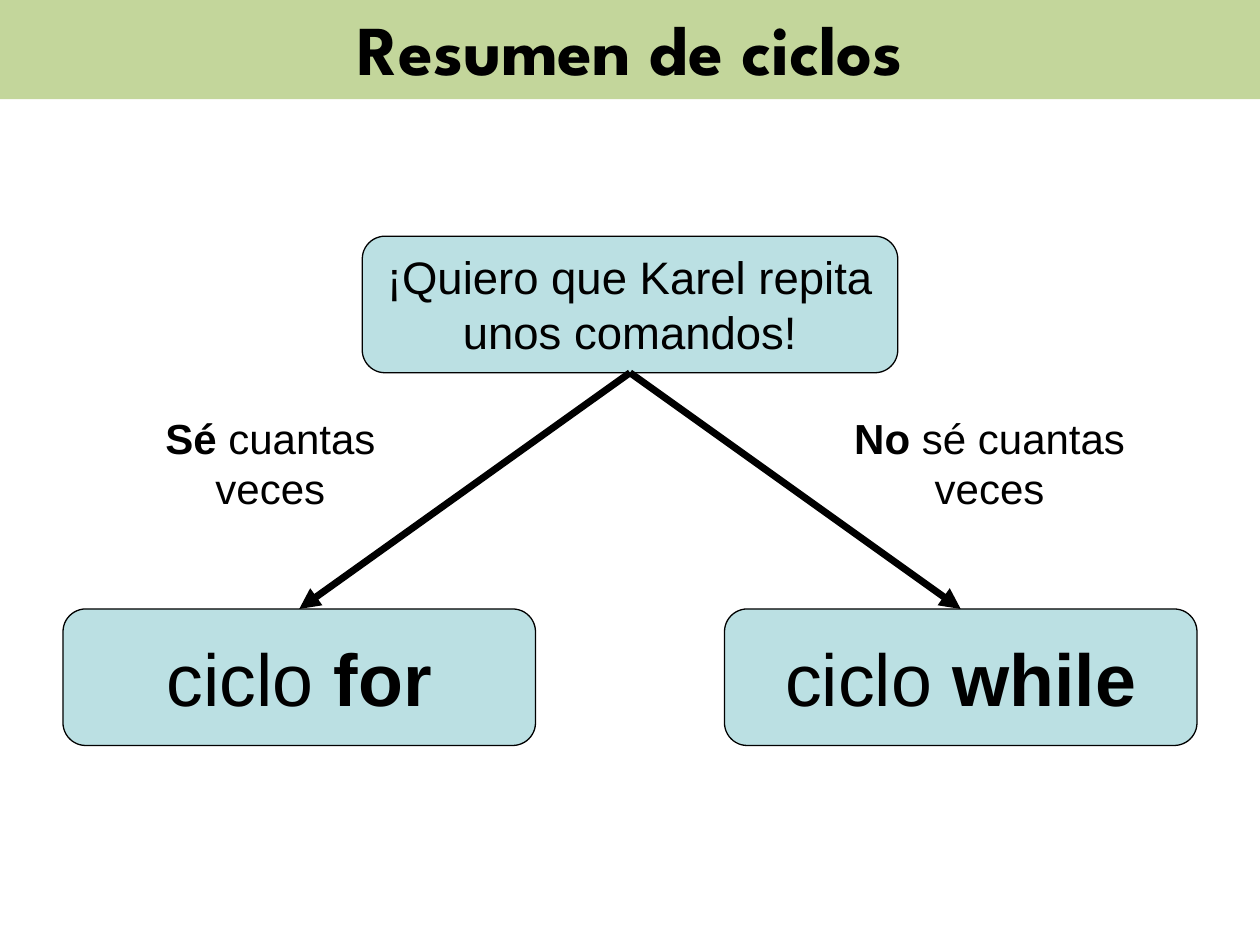
from dataclasses import dataclass

from lxml import etree
from pptx import Presentation
from pptx.dml.color import RGBColor
from pptx.enum.shapes import MSO_CONNECTOR, MSO_SHAPE
from pptx.enum.text import MSO_ANCHOR, MSO_AUTO_SIZE, PP_ALIGN
from pptx.oxml.ns import qn
from pptx.util import Pt

STRAIGHT = MSO_CONNECTOR.STRAIGHT
ROUNDED = MSO_SHAPE.ROUNDED_RECTANGLE
TOP, MIDDLE = MSO_ANCHOR.TOP, MSO_ANCHOR.MIDDLE
CENTER = PP_ALIGN.CENTER
GROW, FIXED = MSO_AUTO_SIZE.SHAPE_TO_FIT_TEXT, MSO_AUTO_SIZE.NONE
TITLE_ONLY = 5
TOP_SITE, BOTTOM_SITE = 0, 2


@dataclass(frozen=True)
class Theme:
    ink: RGBColor = RGBColor(0x00, 0x00, 0x00)
    band: RGBColor = RGBColor(0xC3, 0xD6, 0x9B)
    box: RGBColor = RGBColor(0xBB, 0xE0, 0xE3)
    title_font: str = "League Spartan"
    body_font: str = "Arial"
    title_size: int = 40
    question_size: int = 26
    loop_size: int = 42
    label_size: int = 24


THEME = Theme()
SLIDE_WIDTH, SLIDE_HEIGHT = 720, 540
BOX_HEIGHT = 78
QUESTION_WIDTH, QUESTION_TOP = 306, 135
LOOP_WIDTH, LOOP_TOP, LOOP_MARGIN = 270, 348, 36
LABEL_WIDTH, LABEL_HEIGHT, LABEL_TOP = 189, 65.5, 232


def write(shape, spans, size, font=THEME.body_font, anchor=MIDDLE):
    frame = shape.text_frame
    frame.word_wrap = True
    frame.vertical_anchor = anchor
    para = frame.paragraphs[0]
    para.alignment = CENTER
    for text, bold in spans:
        span = para.add_run()
        span.text = text
        span.font.name = font
        span.font.size = Pt(size)
        span.font.bold = bold
        span.font.color.rgb = THEME.ink


def add_title(page, text):
    title = page.shapes.title
    title.left, title.top = Pt(0), Pt(-2)
    title.width, title.height = Pt(SLIDE_WIDTH), Pt(58.7)
    title.fill.solid()
    title.fill.fore_color.rgb = THEME.band
    write(title, [(text, True)], THEME.title_size, THEME.title_font)
    title.text_frame.auto_size = FIXED


def add_box(page, left, top, width, spans, size, anchor=MIDDLE):
    box = page.shapes.add_shape(ROUNDED, Pt(left), Pt(top), Pt(width), Pt(BOX_HEIGHT))
    box.shadow.inherit = False
    box.fill.solid()
    box.fill.fore_color.rgb = THEME.box
    box.line.color.rgb = THEME.ink
    box.line.width = Pt(0.75)
    write(box, spans, size, anchor=anchor)
    return box


def add_label(page, left, spans):
    label = page.shapes.add_textbox(Pt(left), Pt(LABEL_TOP), Pt(LABEL_WIDTH), Pt(LABEL_HEIGHT))
    write(label, spans, THEME.label_size, anchor=TOP)
    label.text_frame.auto_size = GROW


def add_arrow(page, source, target):
    arrow = page.shapes.add_connector(STRAIGHT, 0, 0, 0, 0)
    arrow.begin_connect(source, BOTTOM_SITE)
    arrow.end_connect(target, TOP_SITE)
    arrow.line.color.rgb = THEME.ink
    arrow.line.width = Pt(4)
    properties = arrow.line._get_or_add_ln()
    etree.SubElement(properties, qn("a:tailEnd"), type="triangle")
    etree.SubElement(properties.getparent(), qn("a:effectLst"))


def main():
    deck = Presentation()
    deck.slide_width, deck.slide_height = Pt(SLIDE_WIDTH), Pt(SLIDE_HEIGHT)
    page = deck.slides.add_slide(deck.slide_layouts[TITLE_ONLY])
    add_title(page, "Resumen de ciclos")
    question = add_box(
        page, (SLIDE_WIDTH - QUESTION_WIDTH) / 2, QUESTION_TOP, QUESTION_WIDTH,
        [("¡Quiero que Karel repita unos comandos!", False)],
        THEME.question_size, TOP,
    )
    branches = [
        (LOOP_MARGIN, "for", 60, "Sé ", "cuantas veces"),
        (SLIDE_WIDTH - LOOP_MARGIN - LOOP_WIDTH, "while", 471, "No ", "sé cuantas veces"),
    ]
    for loop_left, keyword, label_left, stress, rest in branches:
        loop = add_box(
            page, loop_left, LOOP_TOP, LOOP_WIDTH,
            [("ciclo ", False), (keyword, True)], THEME.loop_size,
        )
        add_arrow(page, question, loop)
        add_label(page, label_left, [(stress, True), (rest, False)])
    deck.save("out.pptx")


if __name__ == "__main__":
    main()
